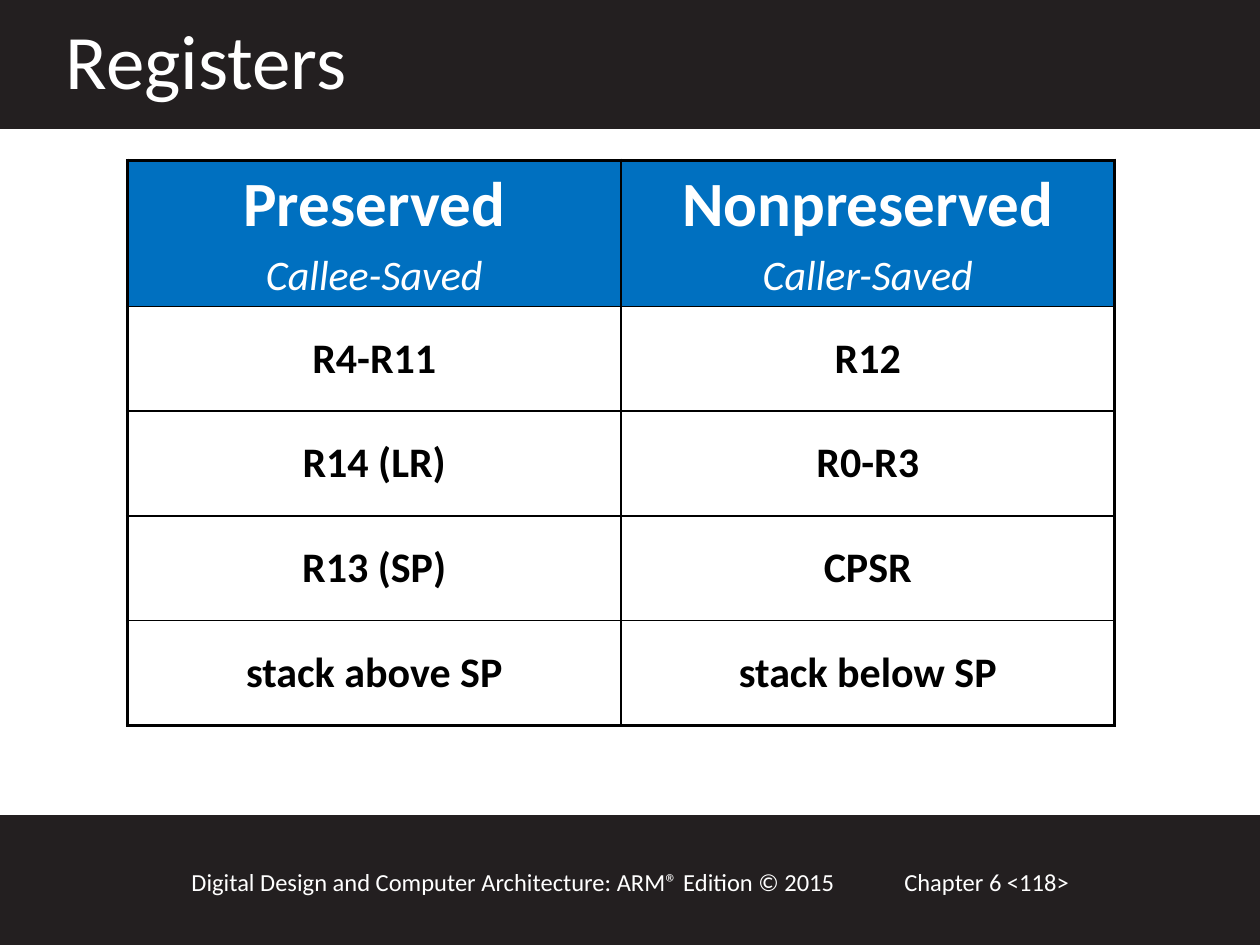
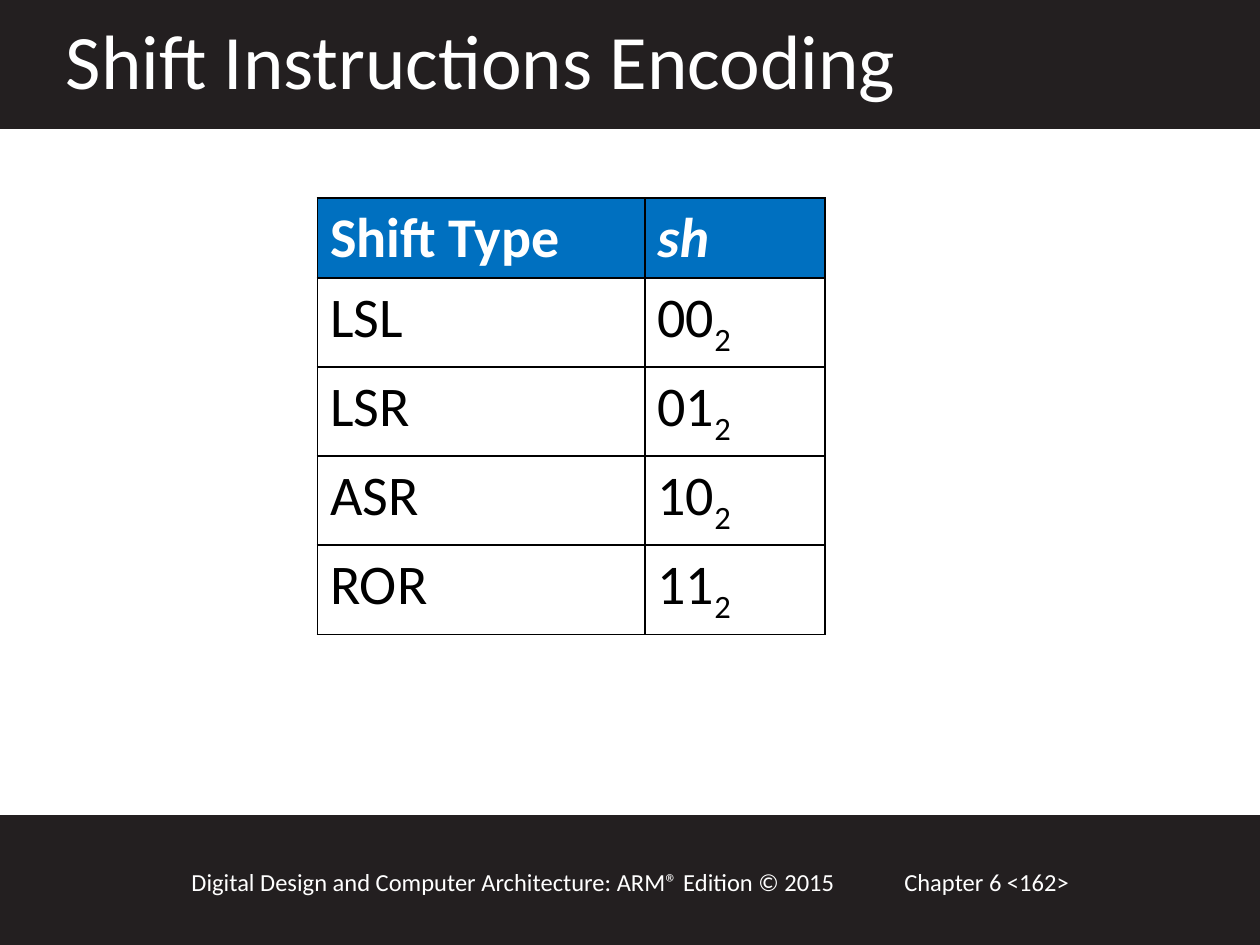
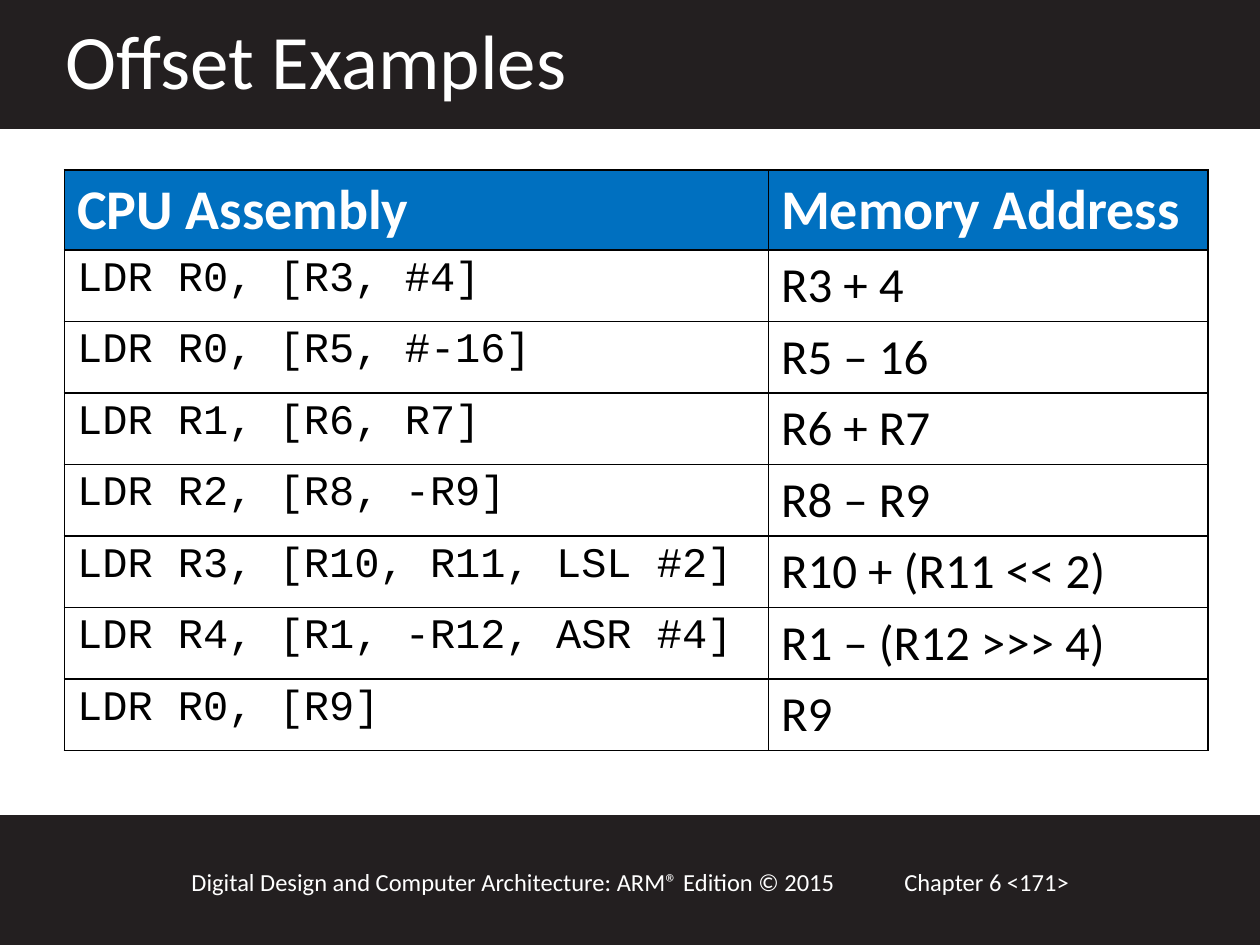
from dataclasses import dataclass, replace

from lxml.etree import SubElement
from pptx import Presentation
from pptx.dml.color import RGBColor
from pptx.enum.shapes import MSO_SHAPE, PP_PLACEHOLDER
from pptx.enum.text import MSO_ANCHOR as Anchor, PP_ALIGN as Align
from pptx.oxml.ns import qn
from pptx.util import Cm, Pt


@dataclass(frozen=True)
class Style:
    """Look of one run of text."""
    size: float
    color: str
    font: str = "Calibri"
    bold: bool = False
    italic: bool = False
    baseline: int = 0


@dataclass(frozen=True)
class Box:
    """Area of the slide in centimetres."""
    left: float
    top: float
    width: float
    height: float

    def inner(self, dx, dy, width, height):
        """Return a box offset from this one's corner."""
        return Box(self.left + dx, self.top + dy, width, height)

    def lengths(self):
        """Return left, top, width and height as lengths."""
        return [Cm(n) for n in (self.left, self.top, self.width, self.height)]


class Theme:
    """Colours, text styles and line widths of the deck."""
    band = "231F20"
    header = "0070C0"
    ink = "000000"
    white = "FFFFFF"
    thin, thick = 1, 2.25
    title = Style(44, white)
    footer = Style(14, white)
    heading = Style(32, white, bold=True)
    heading_italic = replace(heading, italic=True)
    group = replace(heading, size=36)
    group_note = Style(24, white, italic=True)
    register = Style(24, ink, bold=True)
    value = Style(32, ink)
    subscript = replace(value, baseline=-25)
    code = Style(24, ink, "Courier New")
    address = Style(28, ink)


PAGE = Box(0, 0, 25.4, 19.05)
TITLE_BAND = Box(0, 0, PAGE.width, 2.57)
FOOTER_BAND = Box(0, 16.46, PAGE.width, 2.59)


def rgb(color):
    """Turn a hex string into a colour."""
    return RGBColor.from_string(color)


def add_run(paragraph, text, style):
    """Append one styled run."""
    run = paragraph.add_run()
    run.text = text
    font = run.font
    font.name, font.size = style.font, Pt(style.size)
    font.bold, font.italic = style.bold, style.italic
    font.color.rgb = rgb(style.color)
    if style.baseline:
        font._element.set("baseline", str(style.baseline * 1000))


def add_band(slide, box):
    """Draw a dark band across the box."""
    band = slide.shapes.add_shape(MSO_SHAPE.RECTANGLE, *box.lengths())
    band.shadow.inherit = False
    band.fill.solid()
    band.fill.fore_color.rgb = band.line.color.rgb = rgb(Theme.band)
    band.line.width = Pt(2)
    return band


def add_footer_text(slide, box, text):
    """Write one line of footer text in the box."""
    note = slide.shapes.add_textbox(*box.lengths())
    note.text_frame.word_wrap = True
    add_run(note.text_frame.paragraphs[0], text, Theme.footer)
    return note


def furnish_layout(layout, slide):
    """Give the layout the bands and the copyright line."""
    for holder in list(layout.placeholders):
        if holder.placeholder_format.type != PP_PLACEHOLDER.TITLE:
            holder.element.getparent().remove(holder.element)
    shared = [
        add_band(slide, FOOTER_BAND),
        add_band(slide, TITLE_BAND),
        add_footer_text(slide, FOOTER_BAND.inner(3.61, 0.89, 14.6, 0.86),
                        "Digital Design and Computer Architecture: ARM® Edition © 2015"),
    ]
    for part in shared:
        layout.shapes.element.append(part.element)


def fill_title(slide, box, text):
    """Place the title placeholder in the title band."""
    title = slide.shapes.title
    title.left, title.top, title.width, title.height = box.inner(1.07, 0.13, 24.1, 2.13).lengths()
    title.text_frame.vertical_anchor = Anchor.TOP
    paragraph = title.text_frame.paragraphs[0]
    paragraph.alignment = Align.LEFT
    add_run(paragraph, text, Theme.title)


def set_borders(cell, widths):
    """Draw the four cell borders, given as left, right, top and bottom widths."""
    properties = cell._tc.get_or_add_tcPr()
    for side, width in zip("LRTB", widths):
        border = SubElement(properties, qn(f"a:ln{side}"), w=str(Pt(width)))
        fill = SubElement(border, qn("a:solidFill"))
        SubElement(fill, qn("a:srgbClr"), val=Theme.ink)


def fill_cell(cell, paragraphs, align):
    """Write paragraphs, each a list of text and style pairs."""
    frame = cell.text_frame
    for index, runs in enumerate(paragraphs):
        paragraph = frame.add_paragraph() if index else frame.paragraphs[0]
        paragraph.alignment = align
        if index:
            paragraph.space_before = Pt(4)
        for text, style in runs:
            add_run(paragraph, text, style)


def add_grid(slide, corner, columns, heights, rows, outer=Theme.thin,
             align=Align.LEFT, anchor=Anchor.TOP):
    """Add a table with a blue header row at the corner."""
    header_height, row_height = heights
    last_row, last_column = len(rows) - 1, len(columns) - 1
    box = Box(*corner, sum(columns), header_height + last_row * row_height)
    table = slide.shapes.add_table(len(rows), len(columns), *box.lengths()).table
    table.first_row = table.horz_banding = False
    for column, width in zip(table.columns, columns):
        column.width = Cm(width)
    for r, row in enumerate(rows):
        table.rows[r].height = Cm(row_height if r else header_height)
        for c, paragraphs in enumerate(row):
            cell = table.cell(r, c)
            at_edge = (c == 0, c == last_column, r == 0, r == last_row)
            set_borders(cell, [outer if edge else Theme.thin for edge in at_edge])
            cell.vertical_anchor = anchor
            if r:
                cell.fill.background()
            else:
                cell.fill.solid()
                cell.fill.fore_color.rgb = rgb(Theme.header)
            fill_cell(cell, paragraphs, align)


def registers(slide):
    """Table of preserved and nonpreserved registers."""
    groups = [("Preserved", "Callee-Saved"), ("Nonpreserved", "Caller-Saved")]
    pairs = [("R4-R11", "R12"), ("R14 (LR)", "R0-R3"), ("R13 (SP)", "CPSR"),
             ("stack above SP", "stack below SP")]
    rows = [[[[(name, Theme.group)], [(note, Theme.group_note)]] for name, note in groups]]
    rows += [[[[(name, Theme.register)]] for name in pair] for pair in pairs]
    add_grid(slide, (2.57, 3.23), (9.95, 9.95), (2.95, 2.11), rows,
             Theme.thick, Align.CENTER, Anchor.MIDDLE)


def shift_encoding(slide):
    """Table of shift types and their binary codes."""
    rows = [[[[("Shift Type", Theme.heading)]], [[("sh", Theme.heading_italic)]]]]
    rows += [[[[(shift, Theme.value)]],
              [[(f"{code:02b}", Theme.value), ("2", Theme.subscript)]]]
             for code, shift in enumerate(("LSL", "LSR", "ASR", "ROR"))]
    add_grid(slide, (6.4, 3.99), (6.6, 3.63), (1.6, 1.6), rows)


def offset_examples(slide):
    """Table of load instructions and the addresses they read."""
    examples = [
        ("LDR R0, [R3, #4]", "R3 + 4"),
        ("LDR R0, [R5, #-16]", "R5 – 16"),
        ("LDR R1, [R6, R7]", "R6 + R7"),
        ("LDR R2, [R8, -R9]", "R8 – R9"),
        ("LDR R3, [R10, R11, LSL #2]", "R10 + (R11 << 2)"),
        ("LDR R4, [R1, -R12, ASR #4]", "R1 – (R12 >>> 4)"),
        ("LDR R0, [R9]", "R9"),
    ]
    rows = [[[[(name, Theme.heading)]] for name in ("CPU Assembly", "Memory Address")]]
    rows += [[[[(code, Theme.code)]], [[(address, Theme.address)]]]
             for code, address in examples]
    add_grid(slide, (1.3, 3.43), (14.19, 8.86), (1.6, 1.44), rows)


def main():
    """Build and save the deck."""
    deck = Presentation()
    deck.slide_width, deck.slide_height = Cm(PAGE.width), Cm(PAGE.height)
    layout = deck.slide_layouts[5]
    pages = [("Registers", 118, registers),
             ("Shift Instructions Encoding", 162, shift_encoding),
             ("Offset Examples", 171, offset_examples)]
    for index, (title, number, add_content) in enumerate(pages):
        slide = deck.slides.add_slide(layout)
        if index == 0:
            furnish_layout(layout, slide)
        fill_title(slide, TITLE_BAND, title)
        add_footer_text(slide, FOOTER_BAND.inner(17.98, 0.89, 5.51, 0.86),
                        f"Chapter 6 <{number}>")
        add_content(slide)
    deck.save("out.pptx")


if __name__ == "__main__":
    main()
